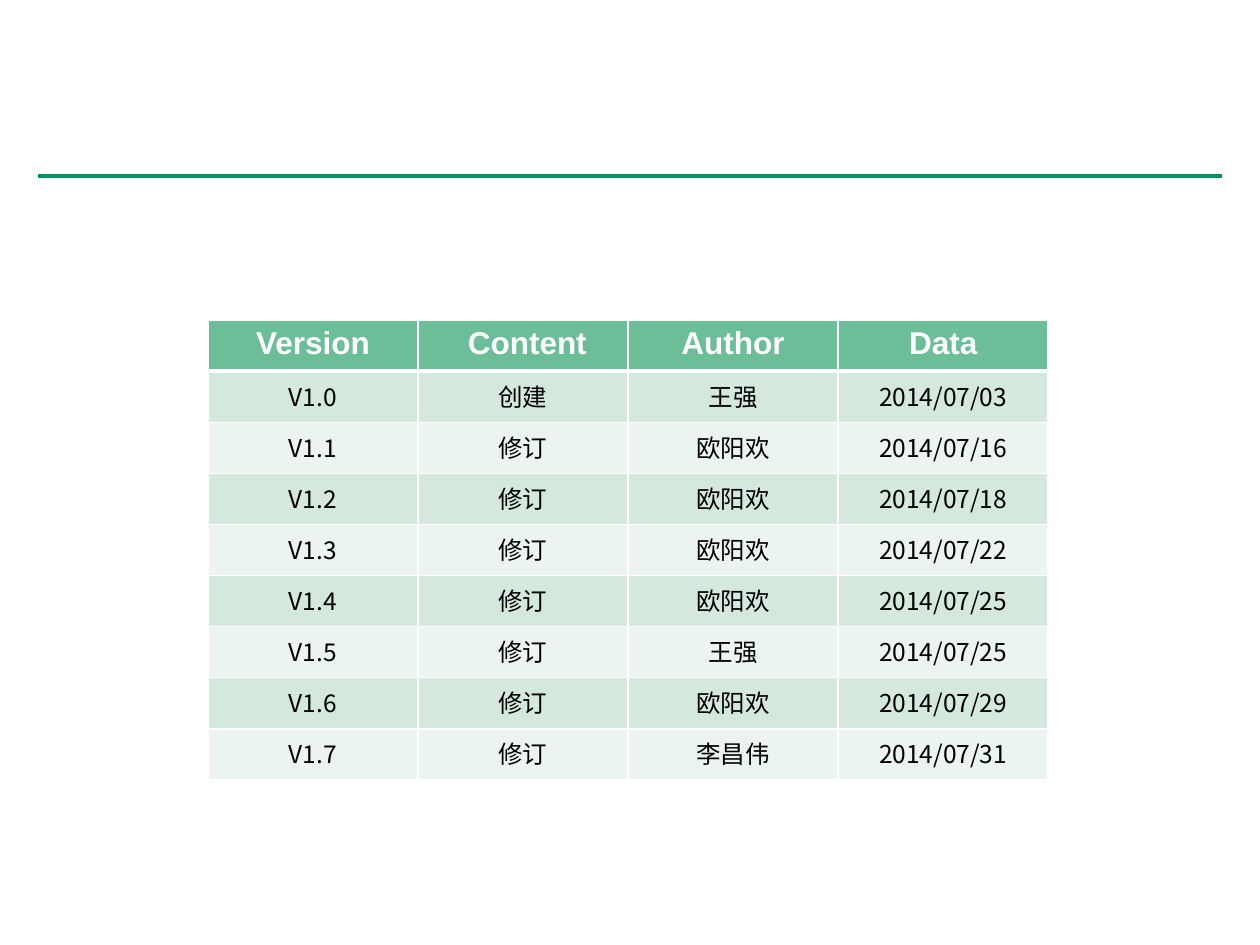
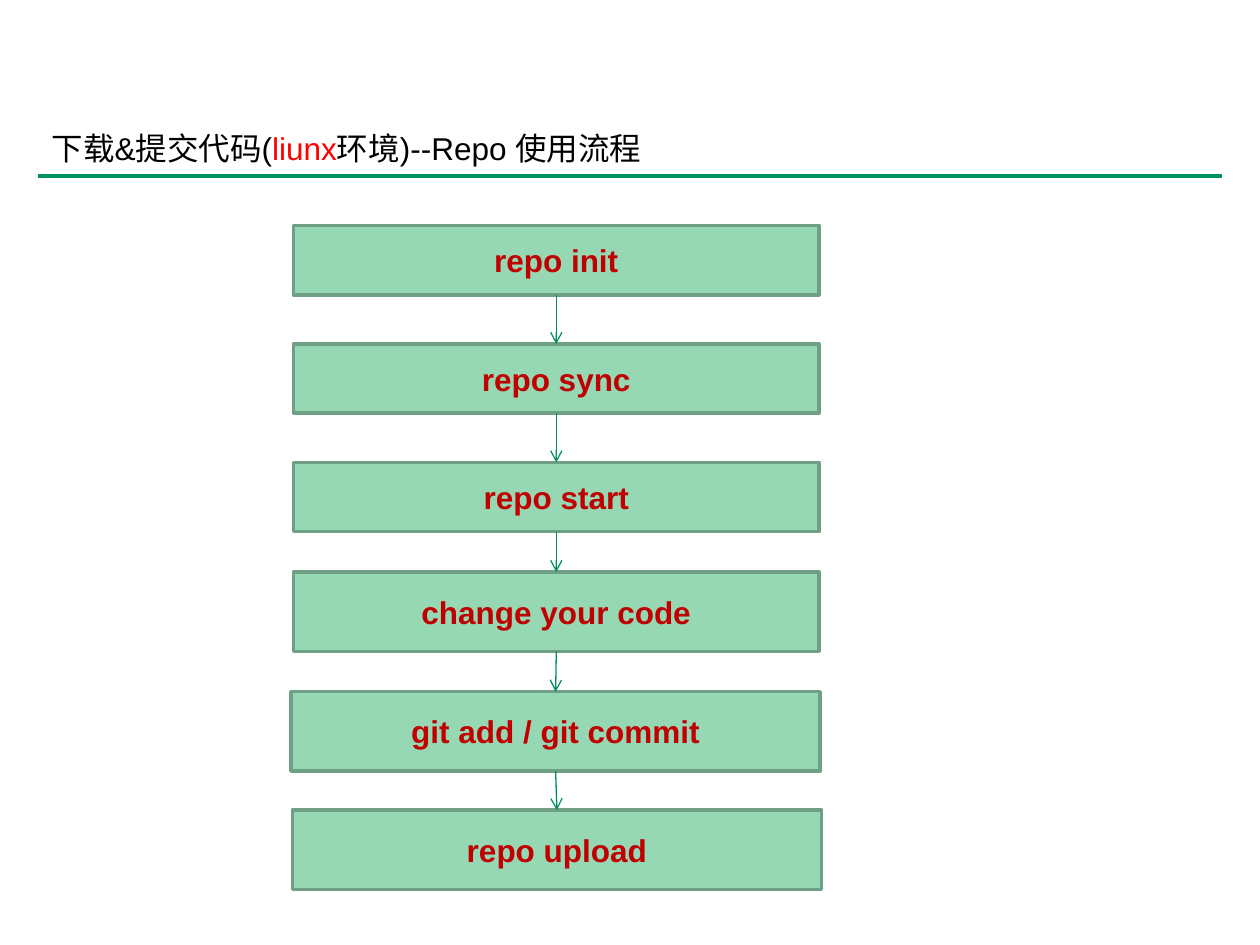
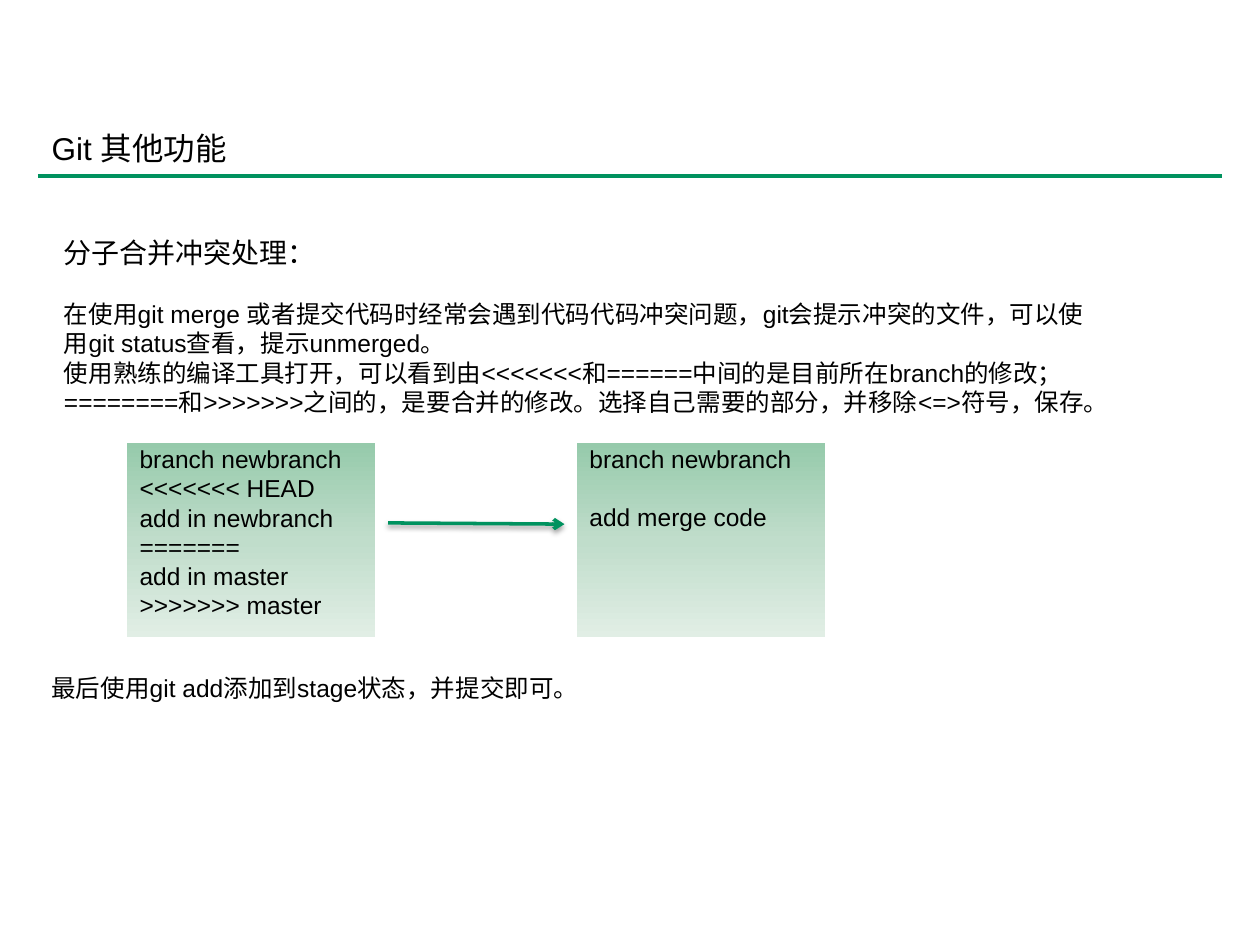
from copy import deepcopy

from lxml.etree import SubElement
from pptx import Presentation
from pptx.dml.color import RGBColor
from pptx.enum.shapes import MSO_CONNECTOR as Connector, MSO_SHAPE as Shape
from pptx.enum.text import MSO_ANCHOR as Anchor, MSO_AUTO_SIZE as AutoSize, PP_ALIGN as Align
from pptx.oxml.ns import qn
from pptx.util import Inches, Pt

COLORS = {
    "rule": "00925F", "flow": "008F5D", "step": "96D7B4", "step_edge": "6F9F85",
    "step_text": "C00000", "accent": "FF0000", "text": "000000", "white": "FFFFFF",
    "header": "6CBE99", "band": "D4E8DE", "band_light": "EBF4EF",
    "code_top": "96CAAB", "code_middle": "C0DDCB", "code_bottom": "E1EEE5",
}
CJK_FONT = "Noto Sans CJK SC"
WIDTH, HEIGHT = 10, 7.5
MARGIN = 0.03 * WIDTH
RULE_TOP = 1.4
TITLE_LEFT, TITLE_TOP, TITLE_HEIGHT = 0.31, 0.97, 0.4


def write(frame, paragraphs, size=14, color="text", bold=False, font="Arial",
          align=Align.LEFT, anchor=Anchor.TOP, spacing=None, before=()):
    frame.word_wrap = True
    frame.auto_size = AutoSize.NONE
    frame.vertical_anchor = anchor
    for index, content in enumerate(paragraphs):
        paragraph = frame.paragraphs[0] if index == 0 else frame.add_paragraph()
        paragraph.alignment = align
        if spacing:
            paragraph.line_spacing = spacing
        if before:
            paragraph.space_before = Pt(before[index])
        runs = [(content, color)] if isinstance(content, str) else content
        for words, run_color in runs:
            run = paragraph.add_run()
            run.text = words
            run.font.name = font
            run.font.size = Pt(size)
            run.font.bold = bold
            run.font.color.rgb = RGBColor.from_string(COLORS[run_color])
            SubElement(run.font._element, qn("a:ea"), typeface=CJK_FONT)


def draw_line(slide, start, end, color, width, arrow=False):
    line = slide.shapes.add_connector(Connector.STRAIGHT, *map(Inches, start + end))
    line.line.color.rgb = RGBColor.from_string(COLORS[color])
    line.line.width = Pt(width)
    properties = line.element.spPr
    if arrow:
        SubElement(properties.find(qn("a:ln")), qn("a:tailEnd"), type="arrow")
    SubElement(properties, qn("a:effectLst"))
    return line


deck = Presentation()
deck.slide_width, deck.slide_height = Inches(WIDTH), Inches(HEIGHT)
title_only, blank = deck.slide_layouts[5], deck.slide_layouts[6]
history, workflow, conflicts = [
    deck.slides.add_slide(layout) for layout in (blank, title_only, title_only)
]
for slide in deck.slides:
    draw_line(slide, (MARGIN, RULE_TOP), (WIDTH - MARGIN, RULE_TOP), "rule", 2.25)

for slide, heading, width in (
    (workflow, [("下载&提交代码(", "text"), ("liunx", "accent"),
                ("环境)--Repo 使用流程", "text")], 7.81),
    (conflicts, "Git 其他功能", 3.03),
):
    title = slide.shapes.title
    title.left, title.top = Inches(TITLE_LEFT), Inches(TITLE_TOP)
    title.width, title.height = Inches(width), Inches(TITLE_HEIGHT)
    write(title.text_frame, [heading], size=18)

revisions = [
    ("Version", " Content", "Author", "Data"),
    ("V1.0", "创建", "王强", "2014/07/03"),
    ("V1.1", "修订", "欧阳欢", "2014/07/16"),
    ("V1.2", "修订", "欧阳欢", "2014/07/18"),
    ("V1.3", "修订", "欧阳欢", "2014/07/22"),
    ("V1.4", "修订", "欧阳欢", "2014/07/25"),
    ("V1.5", "修订", "王强", "2014/07/25"),
    ("V1.6", "修订", "欧阳欢", "2014/07/29"),
    ("V1.7", "修订", "李昌伟", "2014/07/31"),
]
revision_table = history.shapes.add_table(
    len(revisions), len(revisions[0]),
    Inches(1.65), Inches(2.54), Inches(6.67), Inches(3.65)).table
for row, revision in enumerate(revisions):
    for column, entry in enumerate(revision):
        cell = revision_table.cell(row, column)
        is_header = row == 0
        if is_header:
            fill = "header"
            write(cell.text_frame, [entry], size=18, color="white", bold=True, align=Align.CENTER)
        else:
            fill = "band" if row % 2 else "band_light"
            write(cell.text_frame, [entry], font=CJK_FONT, align=Align.CENTER)
        cell_properties = cell._tc.get_or_add_tcPr()
        for side in "LRTB":
            thick = (row, side) in ((0, "B"), (1, "T"))
            border = SubElement(cell_properties, qn(f"a:ln{side}"), w=str(Pt(3 if thick else 1)))
            border_fill = SubElement(border, qn("a:solidFill"))
            SubElement(border_fill, qn("a:srgbClr"), val=COLORS["white"])
        cell.fill.solid()
        cell.fill.fore_color.rgb = RGBColor.from_string(COLORS[fill])

steps = [
    ("repo init", 2.33, 1.79, 4.17, 0.55),
    ("repo sync", 2.33, 2.73, 4.17, 0.55),
    ("repo start", 2.33, 3.67, 4.17, 0.55),
    ("change your code", 2.33, 4.54, 4.17, 0.63),
    ("git add / git commit", 2.31, 5.49, 4.2, 0.63),
    ("repo upload", 2.32, 6.43, 4.2, 0.63),
]
step_boxes = []
for command, *place in steps:
    step = workflow.shapes.add_shape(Shape.RECTANGLE, *map(Inches, place))
    step.shadow.inherit = False
    step.fill.solid()
    step.fill.fore_color.rgb = RGBColor.from_string(COLORS["step"])
    step.line.color.rgb = RGBColor.from_string(COLORS["step_edge"])
    step.line.width = Pt(2)
    write(step.text_frame, [command], size=18, color="step_text", bold=True,
          align=Align.CENTER, anchor=Anchor.MIDDLE)
    step_boxes.append(step)
for upper, lower in zip(step_boxes, step_boxes[1:]):
    flow = draw_line(workflow, (0, 0), (1, 1), "flow", 0.75, arrow=True)
    flow.begin_connect(upper, 2)
    flow.end_connect(lower, 0)

subject = [("分子合并冲突处理：", "text")]
explanation = [
    "在使用git merge 或者提交代码时经常会遇到代码代码冲突问题，git会提示冲突的文件，"
    "可以使用git status查看，提示unmerged。",
    "使用熟练的编译工具打开，可以看到由<<<<<<<和======中间的是目前所在branch的修改； "
    "========和>>>>>>>之间的，是要合并的修改。选择自己需要的部分，并移除<=>符号，保存。",
]
guide = conflicts.shapes.add_textbox(*map(Inches, (0.41, 1.82, 8.4, 1.55)))
write(guide.text_frame, [subject, *explanation], before=(0, 17, 0))
guide.text_frame.paragraphs[0].runs[0].font.size = Pt(16)

LINE_GAP, BLOCK_GAP = 3.3, 19.5
conflicted = ["branch newbranch", "<<<<<<< HEAD", "add in newbranch",
              "=======", "add in master", ">>>>>>> master"]
merged = ["branch newbranch", "add merge code"]
gradient = [(0, "code_top"), (0.5, "code_middle"), (1, "code_bottom")]
for left, code, gaps in (
    (1.01, conflicted, [LINE_GAP] * len(conflicted)),
    (4.58, merged, [LINE_GAP, BLOCK_GAP]),
):
    snippet = conflicts.shapes.add_shape(
        Shape.RECTANGLE, *map(Inches, (left, 3.52, 1.97, 1.54)))
    snippet.shadow.inherit = False
    snippet.line.fill.background()
    snippet.fill.gradient()
    snippet.fill.gradient_angle = 270
    stop_list = snippet.element.spPr.find(".//" + qn("a:gsLst"))
    stop_list.insert(1, deepcopy(stop_list[0]))
    for stop, (position, color) in zip(snippet.fill.gradient_stops, gradient):
        stop.position = position
        stop.color.rgb = RGBColor.from_string(COLORS[color])
    write(snippet.text_frame, code, spacing=0.8, before=gaps)

resolve = draw_line(conflicts, (3.08, 4.15), (4.48, 4.16), "rule", 2, arrow=True)
shadow = SubElement(resolve.element.spPr.find(qn("a:effectLst")), qn("a:outerShdw"),
                    blurRad=str(Pt(3.1)), dist=str(Pt(1.6)), dir="5400000", rotWithShape="0")
shadow_color = SubElement(shadow, qn("a:srgbClr"), val=COLORS["text"])
SubElement(shadow_color, qn("a:alpha"), val="38000")

closing = conflicts.shapes.add_textbox(*map(Inches, (TITLE_LEFT, 5.29, 8.88, 0.34)))
write(closing.text_frame, ["最后使用git add添加到stage状态，并提交即可。"])

deck.save("out.pptx")
